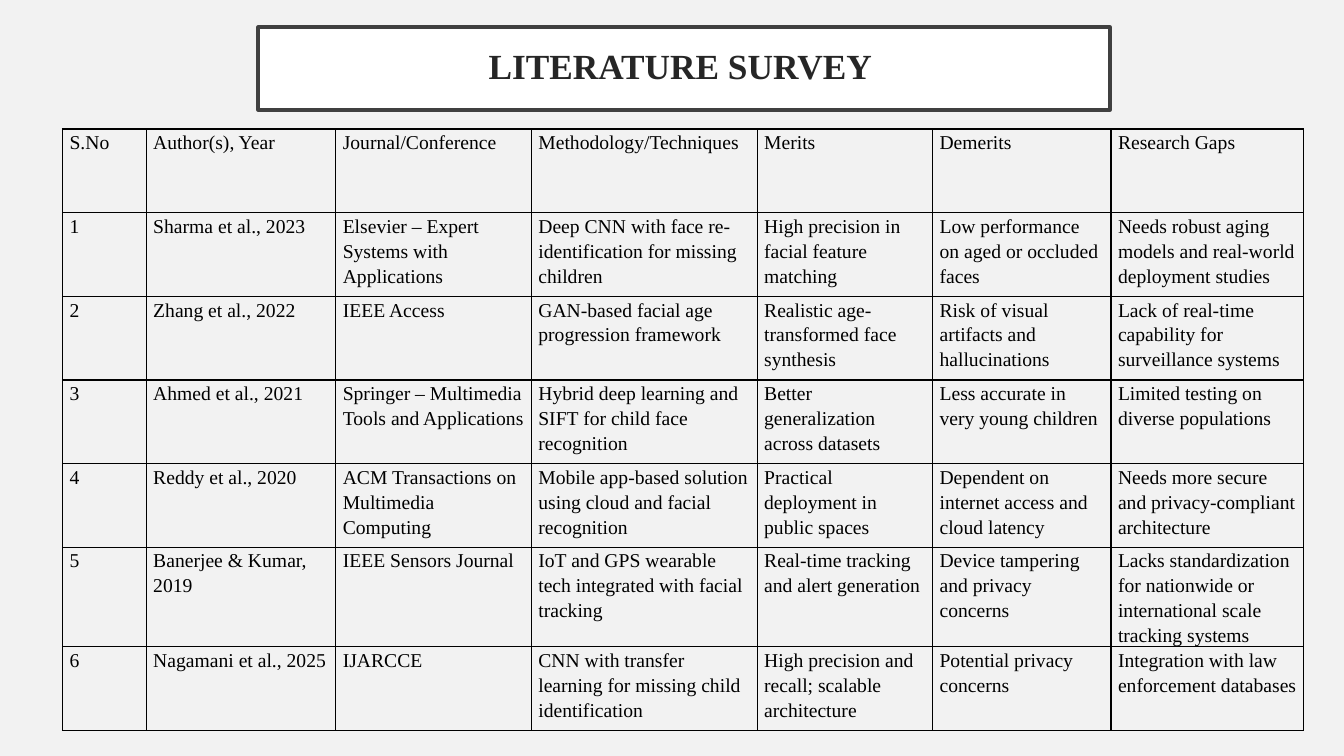
from pptx import Presentation
from pptx.dml.color import RGBColor
from pptx.enum.text import MSO_ANCHOR, MSO_AUTO_SIZE, PP_ALIGN
from pptx.oxml import parse_xml
from pptx.oxml.ns import nsdecls
from pptx.util import Inches, Pt

BACKGROUND = RGBColor(0xF2, 0xF2, 0xF2)
WHITE = RGBColor(0xFF, 0xFF, 0xFF)
FRAME = RGBColor(0x40, 0x40, 0x40)
HEADING = RGBColor(0x26, 0x26, 0x26)
BLACK = RGBColor(0x00, 0x00, 0x00)

COLUMN_WIDTHS = [0.83, 1.88, 1.94, 2.24, 1.74, 1.77, 1.91]
ROW_HEIGHTS = [0.83] * 5 + [0.88, 0.83]

HEADERS = ["S.No", "Author(s), Year", "Journal/Conference", "Methodology/Techniques",
           "Merits", "Demerits", "Research Gaps"]
STUDIES = [
    ["Sharma et al., 2023", "Elsevier – Expert Systems with Applications",
     "Deep CNN with face re-identification for missing children",
     "High precision in facial feature matching",
     "Low performance on aged or occluded faces",
     "Needs robust aging models and real-world deployment studies"],
    ["Zhang et al., 2022", "IEEE Access",
     "GAN-based facial age progression framework",
     "Realistic age-transformed face synthesis",
     "Risk of visual artifacts and hallucinations",
     "Lack of real-time capability for surveillance systems"],
    ["Ahmed et al., 2021", "Springer – Multimedia Tools and Applications",
     "Hybrid deep learning and SIFT for child face recognition",
     "Better generalization across datasets",
     "Less accurate in very young children",
     "Limited testing on diverse populations"],
    ["Reddy et al., 2020", "ACM Transactions on Multimedia Computing",
     "Mobile app-based solution using cloud and facial recognition",
     "Practical deployment in public spaces",
     "Dependent on internet access and cloud latency",
     "Needs more secure and privacy-compliant architecture"],
    ["Banerjee & Kumar, 2019", "IEEE Sensors Journal",
     "IoT and GPS wearable tech integrated with facial tracking",
     "Real-time tracking and alert generation",
     "Device tampering and privacy concerns",
     "Lacks standardization for nationwide or international scale tracking systems"],
    ["Nagamani et al., 2025", "IJARCCE",
     "CNN with transfer learning for missing child identification",
     "High precision and recall; scalable architecture",
     "Potential privacy concerns",
     "Integration with law enforcement databases"],
]


class SurveySlide:
    """Holds the style and the current slide."""

    font_name = "Times New Roman"
    title_size = Pt(25.2)
    cell_size = Pt(14)
    border_width = Pt(1)

    def __init__(self, presentation):
        self.slide = presentation.slides.add_slide(presentation.slide_layouts[5])
        self.slide.background.fill.solid()
        self.slide.background.fill.fore_color.rgb = BACKGROUND

    def style_runs(self, paragraph, size, color, bold=False):
        for run in paragraph.runs:
            run.font.name = self.font_name
            run.font.size = size
            run.font.bold = bold
            run.font.color.rgb = color

    def title(self, text, left, top, width, height):
        heading = self.slide.shapes.title
        heading.left, heading.top = Inches(left), Inches(top)
        heading.width, heading.height = Inches(width), Inches(height)
        heading.fill.solid()
        heading.fill.fore_color.rgb = WHITE
        heading.line.color.rgb = FRAME
        heading.line.width = Pt(2.5)
        frame = heading.text_frame
        frame.text = text
        frame.word_wrap = True
        frame.auto_size = MSO_AUTO_SIZE.NONE
        frame.vertical_anchor = MSO_ANCHOR.MIDDLE
        frame.margin_left = frame.margin_right = Inches(0.2)
        frame.margin_top = frame.margin_bottom = Inches(0.2)
        paragraph = frame.paragraphs[0]
        paragraph.alignment = PP_ALIGN.CENTER
        paragraph.line_spacing = 0.9
        self.style_runs(paragraph, self.title_size, HEADING, bold=True)

    def table(self, rows, left, top, widths, heights):
        survey = self.slide.shapes.add_table(
            len(rows), len(widths), Inches(left), Inches(top),
            Inches(sum(widths)), Inches(sum(heights))).table
        survey.first_row = survey.horz_banding = False
        for column, width in zip(survey.columns, widths):
            column.width = Inches(width)
        for row, height, texts in zip(survey.rows, heights, rows):
            row.height = Inches(height)
            for cell, text in zip(row.cells, texts):
                self.cell(cell, text)

    def cell(self, cell, text):
        cell.margin_left = cell.margin_right = Inches(0.07)
        cell.margin_top = cell.margin_bottom = 0
        self.borders(cell)
        cell.fill.background()
        cell.text_frame.text = text
        paragraph = cell.text_frame.paragraphs[0]
        paragraph.line_spacing = 1.15
        paragraph.space_after = Pt(10)
        self.style_runs(paragraph, self.cell_size, BLACK)

    def borders(self, cell):
        properties = cell._tc.get_or_add_tcPr()
        for side in ("lnL", "lnR", "lnT", "lnB"):
            properties.append(parse_xml(
                f'<a:{side} {nsdecls("a")} w="{self.border_width}"><a:solidFill>'
                f'<a:srgbClr val="{BLACK}"/></a:solidFill></a:{side}>'))


def main():
    presentation = Presentation()
    presentation.slide_width = Inches(13.33)
    presentation.slide_height = Inches(7.5)
    survey = SurveySlide(presentation)

    # Framed heading
    survey.title("LITERATURE SURVEY ", 2.56, 0.27, 8.45, 0.82)

    # Numbered studies under the header row
    numbered = [[str(number), *study] for number, study in enumerate(STUDIES, 1)]
    survey.table([HEADERS, *numbered], 0.62, 1.28, COLUMN_WIDTHS, ROW_HEIGHTS)

    presentation.save("out.pptx")


if __name__ == "__main__":
    main()
